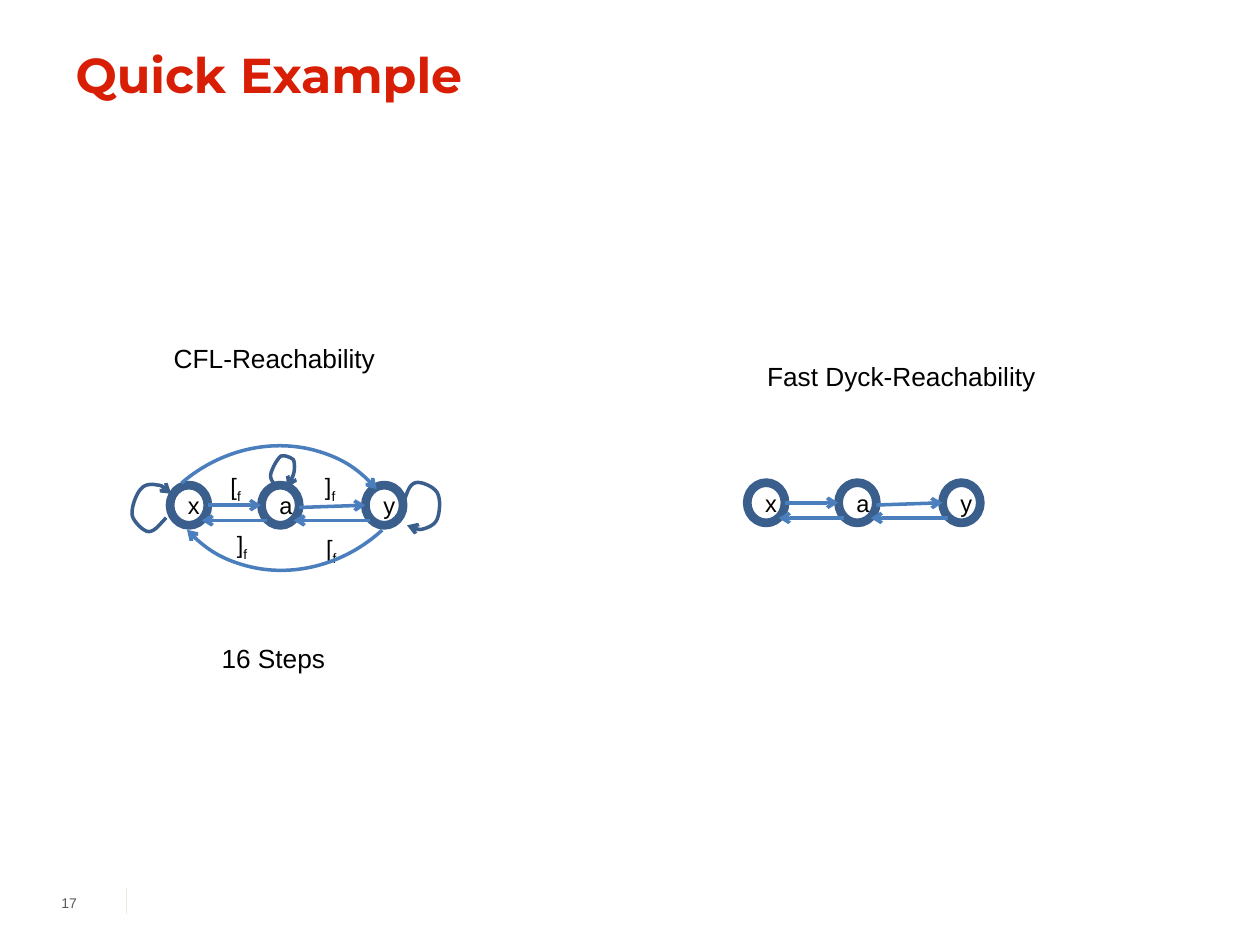
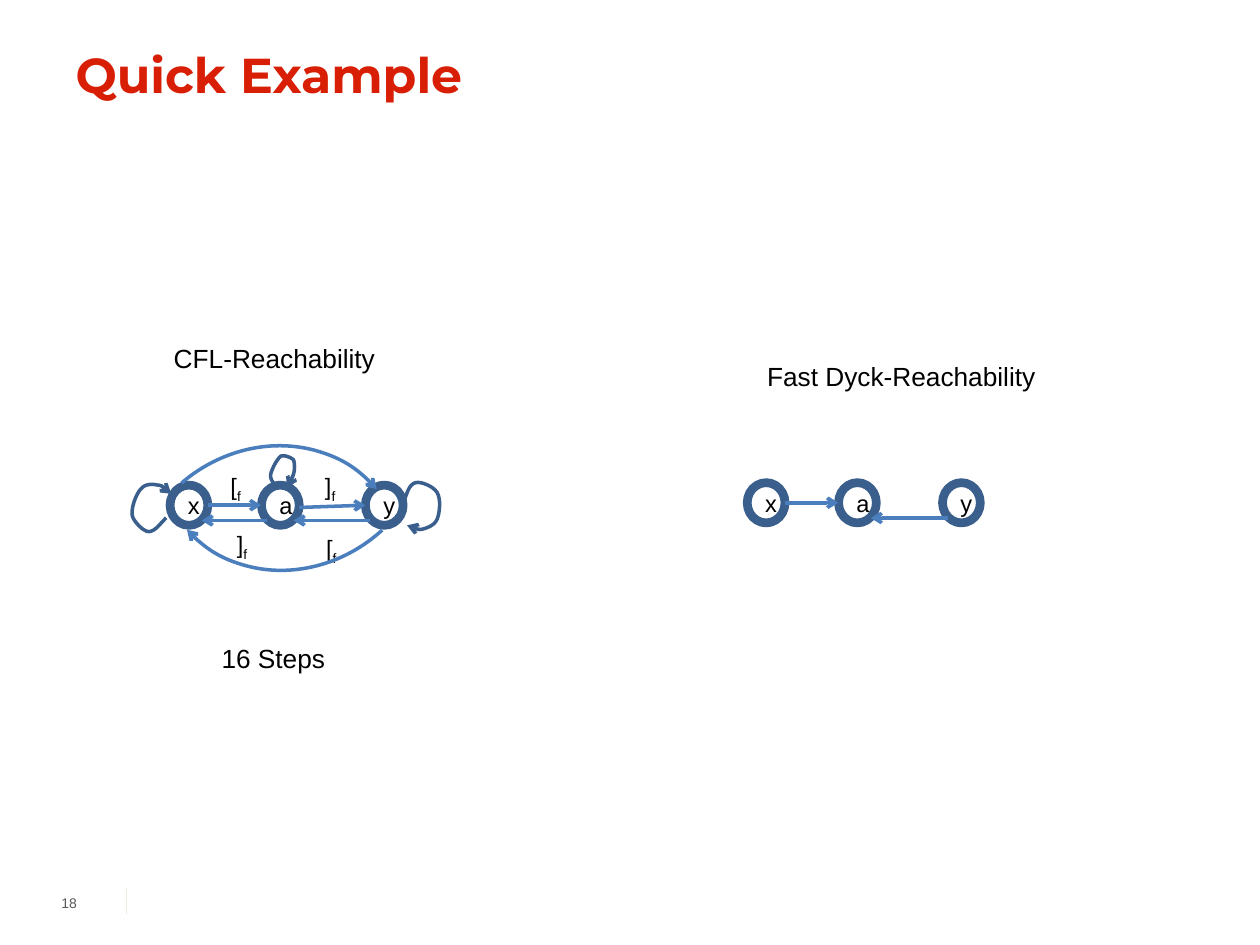
from lxml.etree import SubElement
from pptx import Presentation
from pptx.dml.color import RGBColor
from pptx.enum.shapes import MSO_CONNECTOR as Connector, MSO_SHAPE as Preset
from pptx.enum.text import MSO_ANCHOR as Anchor, MSO_AUTO_SIZE as AutoSize, PP_ALIGN as Align
from pptx.oxml.ns import qn
from pptx.util import Pt

COLORS = {
    "title": "D81E05",
    "text": "000000",
    "number": "595959",
    "divider": "EEECE1",
    "node": "3A5F8C",
    "edge": "4B7EBC",
}

NODE_WIDTH, NODE_HEIGHT = 21.6, 23
NODES = {"x": 0, "a": 52.2, "y": 111.6}
# Edge ends, measured from the top left of node x
EDGES = {
    "x to a": ((21.6, 11.5), (52, 11.5)),
    "a to y": ((73.8, 12.8), (111.6, 11.5)),
    "a to x": ((55.4, 20.2), (18, 20.2)),
    "y to a": ((114.5, 20.2), (70.6, 20.2)),
}
CFL_ORIGIN = (97.2, 277.2)
DYCK_ORIGIN = (427, 275.8)

# Bracket, left, top, width
EDGE_LABELS = [
    ("[", 124.6, 266.4, 23),
    ("]", 178.6, 266.4, 29),
    ("[", 179.3, 301.7, 23),
    ("]", 128.2, 299.5, 29),
]
# Left, top, rotation of the two arcs between x and y
ARCS = [(70.6, 257.8, 319.6), (85.7, 172.8, 137.9)]

# Each self loop: a start point, then three points for every Bézier curve
SELF_LOOPS = {
    "y": [(231.1, 285.8),
          (232.6, 281.5), (234, 276.5), (237.6, 275.8),
          (240.5, 275), (247.7, 277.9), (249.8, 281.5),
          (252, 285.1), (251.3, 293), (249.8, 296.6),
          (248.4, 300.2), (244.1, 301.7), (241.2, 302.4),
          (238.3, 303.1), (235.4, 301.7), (232.6, 300.2)],
    "x": [(95, 295.9),
          (91.4, 299.5), (88.6, 303.8), (85, 303.8),
          (82.1, 303.8), (76.3, 298.1), (75.6, 294.5),
          (74.9, 290.2), (77.8, 282.2), (80.6, 279.4),
          (82.8, 276.5), (87.1, 276.5), (90, 277.2),
          (92.9, 277.2), (95, 279.4), (97.9, 282.2)],
    "a": [(157.7, 277.9),
          (156.2, 275.8), (154.1, 273.6), (154.8, 270.7),
          (155.5, 267.8), (158.4, 262.1), (160.6, 260.6),
          (162.7, 259.9), (166.3, 261.4), (167.8, 262.8),
          (168.5, 265), (168.5, 268.6), (167.8, 270.7),
          (167, 273.6), (165.6, 275.8), (164.2, 278.6)],
}
CURVE_STEPS = 8


def color(name):
    return RGBColor.from_string(COLORS[name])


def format_runs(paragraph, size, color_name="text", font_name="Arial", bold=False):
    for run in paragraph.runs:
        run.font.name = font_name
        run.font.size = Pt(size)
        run.font.bold = bold
        run.font.color.rgb = color(color_name)


def style_line(shape, color_name, width, arrow=False):
    shape.line.color.rgb = color(color_name)
    shape.line.width = Pt(width)
    if arrow:
        line = shape._element.spPr.find(qn("a:ln"))
        SubElement(line, qn("a:tailEnd"), type="arrow")


def style_outline(shape, color_name, width, arrow=False):
    """Leave the shape unfilled and flat, with only its line."""
    shape.shadow.inherit = False
    shape.fill.background()
    style_line(shape, color_name, width, arrow)


def add_line(slide, start, end, color_name, width, arrow=False):
    connector = slide.shapes.add_connector(
        Connector.STRAIGHT, *(Pt(value) for value in (*start, *end)))
    style_line(connector, color_name, width, arrow)
    SubElement(connector._element.spPr, qn("a:effectLst"))


def add_text(slide, text, left, top, width, height, size, color_name="text"):
    box = slide.shapes.add_textbox(Pt(left), Pt(top), Pt(width), Pt(height))
    frame = box.text_frame
    frame.word_wrap = True
    frame.text = text
    format_runs(frame.paragraphs[0], size, color_name)
    return frame


def add_edge_label(slide, bracket, left, top, width):
    """Add a bracket with the subscript f."""
    frame = add_text(slide, bracket, left, top, width, 23.8, 13.5)
    paragraph = frame.paragraphs[0]
    subscript = paragraph.add_run()
    subscript.text = "f"
    format_runs(paragraph, 13.5)
    subscript._r.get_or_add_rPr().set("baseline", "-25000")


def add_node(slide, name, left, top):
    node = slide.shapes.add_shape(
        Preset.OVAL, Pt(left), Pt(top), Pt(NODE_WIDTH), Pt(NODE_HEIGHT))
    style_outline(node, "node", 5)
    frame = node.text_frame
    frame.text = name
    frame.vertical_anchor = Anchor.MIDDLE
    frame.paragraphs[0].alignment = Align.CENTER
    format_runs(frame.paragraphs[0], 13.5)


def add_graph(slide, origin, edge_names):
    left, top = origin
    for name, offset in NODES.items():
        add_node(slide, name, left + offset, top)
    for edge_name in edge_names:
        start, end = ([left + x, top + y] for x, y in EDGES[edge_name])
        add_line(slide, start, end, "edge", 2, arrow=True)


def add_arc(slide, left, top, rotation):
    arc = slide.shapes.add_shape(Preset.ARC, Pt(left), Pt(top), Pt(164.2), Pt(149.8))
    arc.adjustments[0] = 161.75
    arc.adjustments[1] = 0
    arc.rotation = rotation
    style_outline(arc, "edge", 2, arrow=True)


def curve_points(points):
    """Yield points along a chain of cubic Bézier curves, after its start."""
    for first in range(0, len(points) - 1, 3):
        controls = points[first:first + 4]
        for step in range(1, CURVE_STEPS + 1):
            t = step / CURVE_STEPS
            weights = ((1 - t) ** 3, 3 * t * (1 - t) ** 2, 3 * t ** 2 * (1 - t), t ** 3)
            yield tuple(
                Pt(sum(weight * value for weight, value in zip(weights, axis)))
                for axis in zip(*controls))


def add_self_loop(slide, points):
    start_x, start_y = points[0]
    builder = slide.shapes.build_freeform(Pt(start_x), Pt(start_y))
    builder.add_line_segments(list(curve_points(points)), close=False)
    style_outline(builder.convert_to_shape(), "node", 2, arrow=True)


def add_caption(slide, text, left, top, width):
    frame = add_text(slide, text, left, top, width, 25.2, 15)
    frame.auto_size = AutoSize.SHAPE_TO_FIT_TEXT


def add_title(slide, text):
    title = slide.shapes.title
    title.left, title.top, title.width, title.height = Pt(36), Pt(21.6), Pt(648), Pt(68.4)
    frame = title.text_frame
    frame.text = text
    frame.auto_size = AutoSize.NONE
    frame.vertical_anchor = Anchor.TOP
    frame.paragraphs[0].alignment = Align.LEFT
    format_runs(frame.paragraphs[0], 28, "title", "Montserrat", bold=True)


def add_footer(slide, number):
    add_line(slide, (72, 507.6), (72, 522), "divider", 0.25)
    frame = add_text(slide, str(number), 23.8, 504, 23.8, 23.8, 8, "number")
    frame.margin_left = 0
    frame.margin_right = Pt(3.6)
    frame.vertical_anchor = Anchor.MIDDLE
    frame.paragraphs[0].alignment = Align.RIGHT


def add_example_slide(presentation, number, dyck_edges):
    slide = presentation.slides.add_slide(presentation.slide_layouts[5])
    add_title(slide, "Quick Example")
    add_footer(slide, number)

    add_graph(slide, CFL_ORIGIN, EDGES)
    for label in EDGE_LABELS:
        add_edge_label(slide, *label)
    for arc in ARCS:
        add_arc(slide, *arc)
    for points in SELF_LOOPS.values():
        add_self_loop(slide, points)
    add_caption(slide, "16 Steps", 119.5, 363.6, 102.2)

    add_graph(slide, DYCK_ORIGIN, dyck_edges)
    add_caption(slide, "CFL-Reachability", 92.2, 192.2, 187.2)
    add_caption(slide, "Fast Dyck-Reachability", 431.3, 202.3, 187.2)


def main():
    presentation = Presentation()
    presentation.slide_width, presentation.slide_height = Pt(720), Pt(540)
    add_example_slide(presentation, 17, EDGES)
    add_example_slide(presentation, 18, ["x to a", "y to a"])
    presentation.save("out.pptx")


if __name__ == "__main__":
    main()
